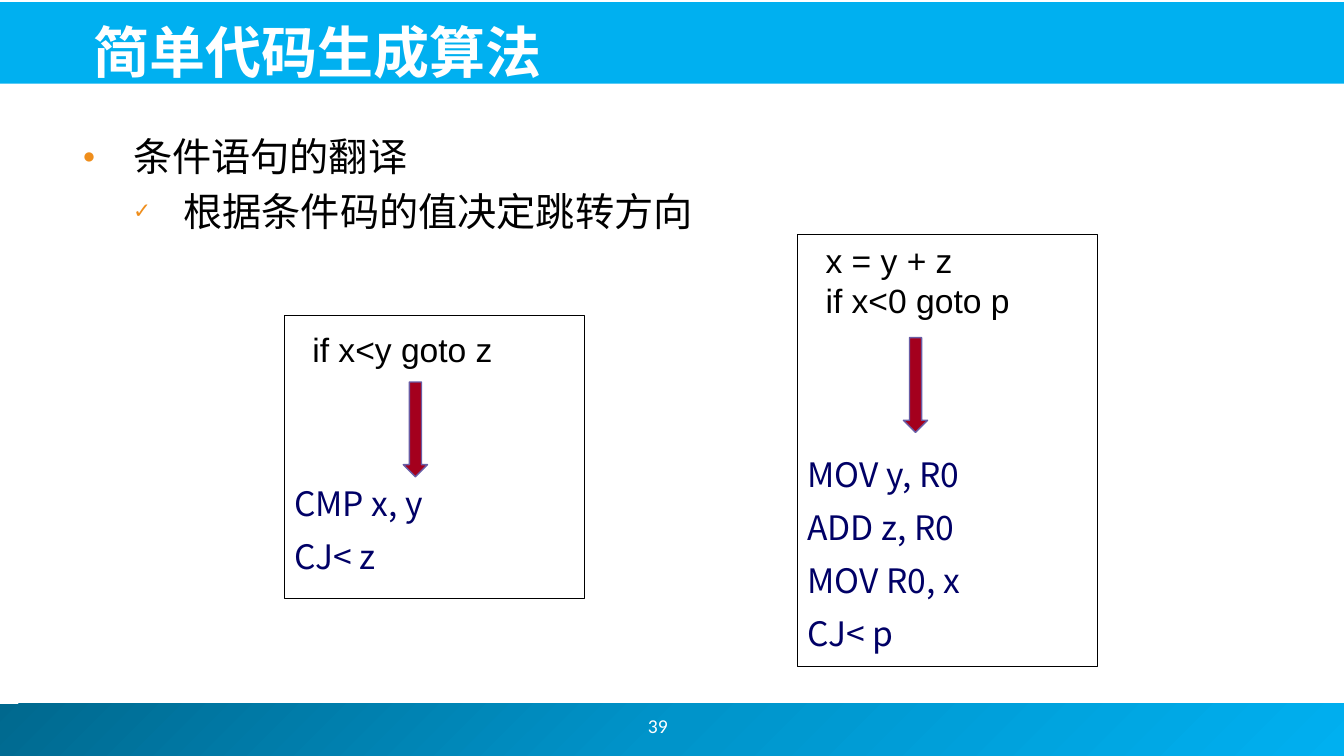
from copy import deepcopy

from lxml import etree
from pptx import Presentation, util as u
from pptx.dml.color import RGBColor
from pptx.enum import shapes, text
from pptx.oxml.ns import qn

CJK = "Noto Sans CJK JP"
RECT = shapes.MSO_SHAPE.RECTANGLE
FRAME_WIDTH = 2.98


def colour(value):
    return RGBColor.from_string(value)


def apply(target, formats):
    for name, value in formats.items():
        setattr(target, name, value)


def place(shape, left, top, width, height):
    apply(shape, dict(left=u.Inches(left), top=u.Inches(top),
                      width=u.Inches(width), height=u.Inches(height)))


def write(frame, lines, size, font, ink, bold=False, **paragraph_formats):
    for index, line in enumerate(lines):
        paragraph = frame.paragraphs[0] if index == 0 else frame.add_paragraph()
        apply(paragraph, paragraph_formats)
        run = paragraph.add_run()
        run.text = line
        apply(run.font, dict(size=u.Pt(size), name=font, bold=bold))
        run.font.color.rgb = colour(ink)
        etree.SubElement(run._r.get_or_add_rPr(), qn("a:ea"), typeface=CJK)


def add_box(slide, preset, box, fill=None, line=None, weight=0.75):
    shape = slide.shapes.add_shape(preset, *map(u.Inches, box))
    shape.shadow.inherit = False
    if fill:
        shape.fill.solid()
        shape.fill.fore_color.rgb = colour(fill)
    else:
        shape.fill.background()
    if line:
        shape.line.color.rgb = colour(line)
        shape.line.width = u.Pt(weight)
    else:
        shape.line.fill.background()
    return shape


def add_label(slide, box, lines, size, font, ink, **formats):
    label = slide.shapes.add_textbox(*map(u.Inches, box))
    label.text_frame.word_wrap = True
    write(label.text_frame, lines, size, font, ink, **formats)
    return label


def add_bands(slide):
    # Footer gradient and header band, behind everything else
    footer = add_box(slide, RECT, (-0.05, 6.98, 13.39, 0.52), "00B0F0")
    footer.fill.gradient()
    footer.fill.gradient_angle = 315
    stops = footer.fill.gradient_stops
    first = stops[0]._gs
    first.addnext(deepcopy(first))
    for stop, (position, shade) in zip(
            footer.fill.gradient_stops,
            ((0, "00688E"), (0.5, "0094CA"), (1, "00B0F0"))):
        stop.position = position
        stop.color.rgb = colour(shade)
    header = add_box(slide, RECT, (-0.02, 0.02, 13.36, 0.81), "00B0F0")
    for depth, band in enumerate((footer, header)):
        slide.shapes._spTree.insert(2 + depth, band._element)


def add_title(slide, box, heading):
    title = slide.shapes.title
    place(title, *box)
    apply(title.text_frame, dict(
        vertical_anchor=text.MSO_ANCHOR.BOTTOM, margin_bottom=0,
        auto_size=text.MSO_AUTO_SIZE.NONE))
    write(title.text_frame, [heading], 40, CJK, "FFFFFF", bold=True,
          alignment=text.PP_ALIGN.LEFT)


def add_points(slide, box, points):
    body = slide.placeholders[1]
    place(body, *box)
    body.text_frame.auto_size = text.MSO_AUTO_SIZE.NONE
    write(body.text_frame, points, 28, "Cabin", "000000",
          line_spacing=u.Pt(33.7), space_before=u.Pt(5.6))
    for level, (paragraph, mark) in enumerate(
            zip(body.text_frame.paragraphs, "●✓")):
        paragraph.level = level
        properties = paragraph._p.get_or_add_pPr()
        properties.set("marL", str(u.Inches(1 + level / 2)))
        properties.set("indent", str(u.Inches(-0.5)))
        bullet_colour = etree.SubElement(properties, qn("a:buClr"))
        etree.SubElement(bullet_colour, qn("a:srgbClr"), val="EF8E1C")
        etree.SubElement(properties, qn("a:buSzPct"), val="55000")
        etree.SubElement(properties, qn("a:buChar"), char=mark)


def add_translation(slide, left, top, height, statement, statement_drop,
                    arrow_left, arrow_drop, code, code_margin):
    # Frame with target code at its foot
    frame = add_box(slide, RECT, (left, top, FRAME_WIDTH, height),
                    line="000000")
    apply(frame.text_frame, dict(
        vertical_anchor=text.MSO_ANCHOR.BOTTOM, word_wrap=True,
        margin_bottom=u.Inches(code_margin)))
    write(frame.text_frame, code, 24, CJK, "000066",
          alignment=text.PP_ALIGN.LEFT,
          line_spacing=u.Pt(33.1), space_before=u.Pt(4.8))
    # Source statement
    add_label(slide, (left + 0.18, top + statement_drop, 2.8,
                      0.1 + 0.4 * len(statement)),
              statement, 24, "Arial", "000000")
    # Arrow from statement to code
    arrow = add_box(slide, shapes.MSO_SHAPE.RIGHT_ARROW,
                    (left + arrow_left, top + arrow_drop, 0.94, 0.24),
                    "A4001D", "695DA5", 1)
    arrow.rotation = 90


def add_page_number(slide, box, number):
    label = add_label(slide, box, [number], 14, "Calibri", "FFFFFF",
                      alignment=text.PP_ALIGN.CENTER)
    label.text_frame.vertical_anchor = text.MSO_ANCHOR.MIDDLE


def main():
    deck = Presentation()
    apply(deck, dict(slide_width=u.Inches(13.33), slide_height=u.Inches(7.5)))
    slide = deck.slides.add_slide(deck.slide_layouts[1])
    add_bands(slide)
    add_title(slide, (0.83, 0.05, 12.06, 0.79), "简单代码生成算法")
    add_points(slide, (0.22, 1.26, 8.58, 1.05),
               ["条件语句的翻译", "根据条件码的值决定跳转方向"])
    add_translation(slide, 2.82, 3.13, 2.81, ["if x<y goto z"], 0.08,
                    0.83, 1.01, ["CMP x, y", "CJ< z"], 0.22)
    add_translation(slide, 7.91, 2.33, 4.28, ["x = y + z", "if x<0 goto p"], 0,
                    0.7, 1.37,
                    ["MOV y, R0", "ADD z, R0", "MOV R0, x", "CJ< p"], 0.13)
    add_page_number(slide, (5.08, 6.95, 2.89, 0.5), "39")
    deck.save("out.pptx")


if __name__ == "__main__":
    main()
